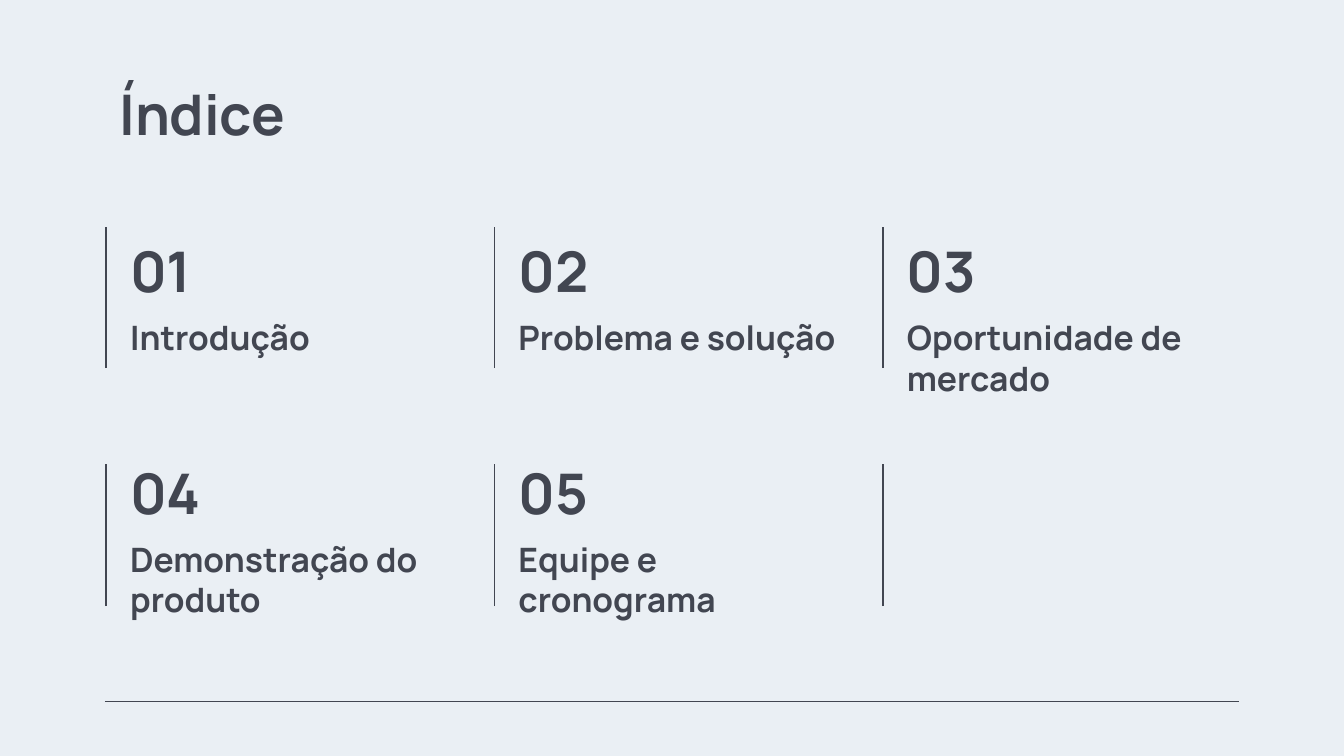
"""Build the index slide: a title and five numbered sections in a ruled grid."""
from lxml import etree
from pptx import Presentation
from pptx.dml.color import RGBColor
from pptx.enum import shapes, text
from pptx.oxml.ns import qn
from pptx.util import Inches, Pt

BACKGROUND = RGBColor(0xEA, 0xEF, 0xF4)
INK = RGBColor(0x42, 0x46, 0x51)
FONT = "Manrope"

SLIDE_WIDTH = 10
SLIDE_HEIGHT = SLIDE_WIDTH * 9 / 16
COLUMNS = 3
COLUMN_LEFT = 0.79
COLUMN_STEP = 2.89
TEXT_OFFSET = 0.08
NUMBER_TOPS = (1.73, 3.38)
RULE_SPANS = ((1.69, 2.74), (3.45, 4.51))
TOPIC_OFFSET = 0.53
TOPICS = (
    ("Introdução", 2.57),
    ("Problema e solução", 2.57),
    ("Oportunidade de mercado", 3.06),
    ("Demonstração do produto", 2.57),
    ("Equipe e cronograma", 2.57),
)


def add_text(slide, words, left, top, width, height, size=18,
             anchor=text.MSO_ANCHOR.TOP):
    box = slide.shapes.add_textbox(
        Inches(left), Inches(top), Inches(width), Inches(height))
    frame = box.text_frame
    frame.word_wrap = True
    frame.vertical_anchor = anchor
    frame.margin_left = frame.margin_right = Inches(0.1)
    frame.margin_top = frame.margin_bottom = Inches(0.1)
    paragraph = frame.paragraphs[0]
    paragraph.text = words
    font = paragraph.runs[0].font
    font.name, font.size, font.bold = FONT, Pt(size), True
    font.color.rgb = INK


def add_rule(slide, left, top, right, bottom):
    rule = slide.shapes.add_connector(
        shapes.MSO_CONNECTOR.STRAIGHT,
        Inches(left), Inches(top), Inches(right), Inches(bottom))
    rule.line.color.rgb = INK
    rule.line.width = Pt(0.75)
    etree.SubElement(rule._element.spPr, qn("a:effectLst"))


def add_topic(slide, index, topic, width):
    row, column = divmod(index, COLUMNS)
    left = COLUMN_LEFT + column * COLUMN_STEP + TEXT_OFFSET
    top = NUMBER_TOPS[row]
    add_text(slide, f"{index + 1:02d}", left, top, 0.8, 0.63, size=30,
             anchor=text.MSO_ANCHOR.BOTTOM)
    add_text(slide, topic, left, top + TOPIC_OFFSET, width, 0.48)


def main():
    deck = Presentation()
    deck.slide_width = Inches(SLIDE_WIDTH)
    deck.slide_height = Inches(SLIDE_HEIGHT)
    slide = deck.slides.add_slide(deck.slide_layouts[6])
    slide.background.fill.solid()
    slide.background.fill.fore_color.rgb = BACKGROUND

    add_rule(slide, 0.78, 5.22, 9.22, 5.22)
    add_text(slide, "Índice", 0.79, 0.49, 8.43, 0.63, size=30)
    for index, (topic, width) in enumerate(TOPICS):
        add_topic(slide, index, topic, width)
    for column in range(COLUMNS):
        left = COLUMN_LEFT + column * COLUMN_STEP
        for top, bottom in RULE_SPANS:
            add_rule(slide, left, bottom, left, top)

    deck.save("out.pptx")


if __name__ == "__main__":
    main()
